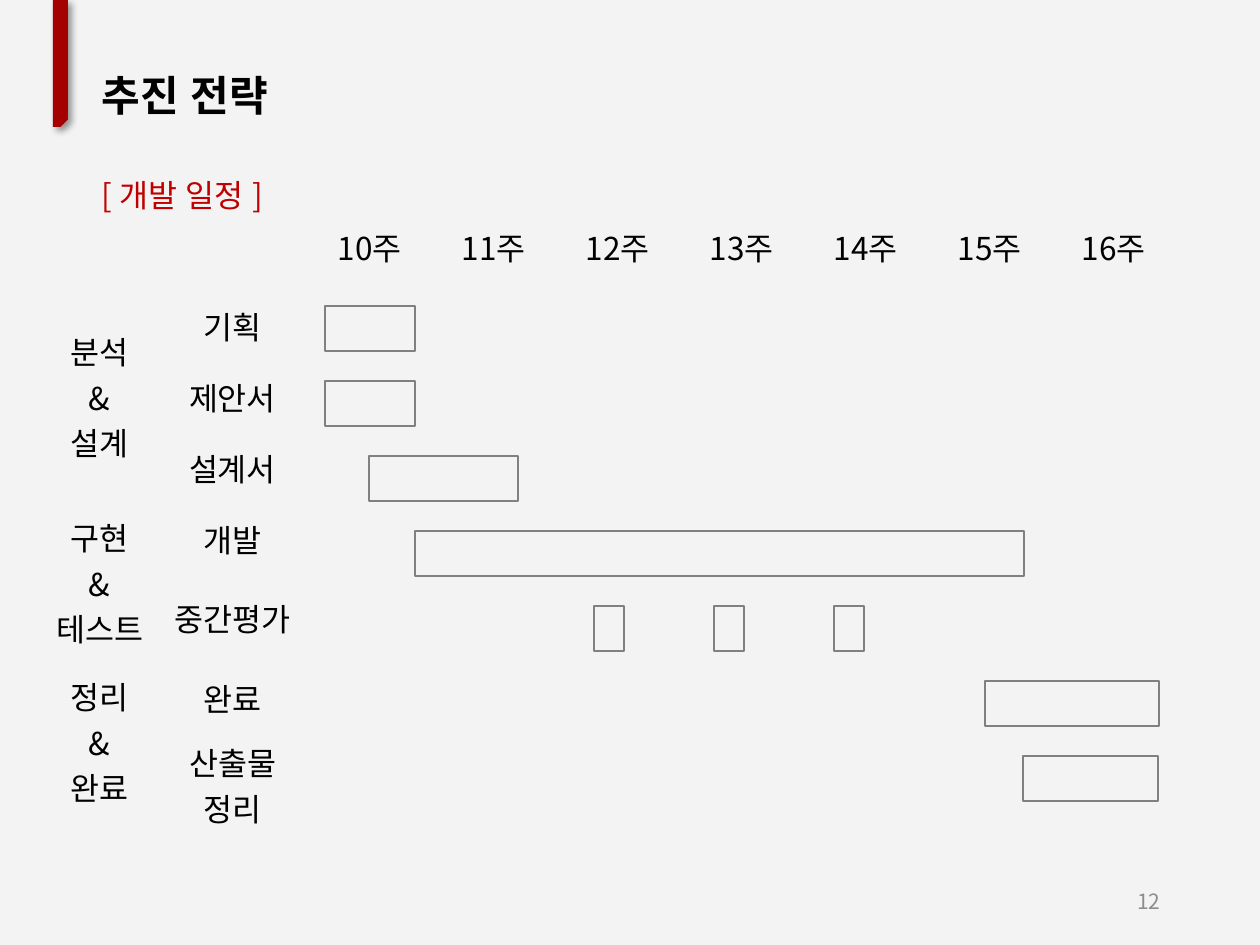
from lxml.etree import SubElement as Sub
from pptx import Presentation
from pptx.dml.color import RGBColor as Rgb
from pptx.enum.lang import MSO_LANGUAGE_ID as Lang
from pptx.enum.shapes import MSO_SHAPE as Shape
from pptx.enum.text import MSO_ANCHOR as Anchor, PP_ALIGN as Align
from pptx.oxml.ns import qn
from pptx.util import Emu, Pt

FONT = "Noto Sans CJK KR"
PLAIN = "{2D5ABB26-0587-4C30-8999-92F81FD0307C}"  # table without style or grid
HUE = {"back": "F3F3F3", "text": "000000", "head": "C00000",
       "tag": "A40000", "line": "808080", "page": "8C8C8C"}

WEEKS = [f"{n}주" for n in range(10, 17)]
STAGES = [("분석\n&\n설계", ["기획", "제안서", "설계서"]),
          ("구현\n&\n테스트", ["개발", "중간평가"]),
          ("정리\n&\n완료", ["완료", "산출물 정리"])]
COLS = [115, 151] + [124] * len(WEEKS)
ROWS = [86, 71, 71, 71, 71, 88, 71, 84]
# Bars of each task: left edge from the chart's left, and width
BARS = [[(0, 90)], [(0, 90)], [(44, 149)], [(90, 609)],
        [(269, 30), (389, 30), (509, 30)], [(660, 174)], [(698, 135)]]


def px(n):
    return Emu(round(n * 914400 / 126))


def box(*nums):
    return [px(n) for n in nums]


def style(frame, size, hue, align=Align.LEFT, bold=False, space=None):
    for para in frame.paragraphs:
        para.alignment = align
        if space:
            para.line_spacing = space
        for run in para.runs:
            font = run.font
            font.size, font.bold, font.name = Pt(size), bold, FONT
            font.color.rgb = Rgb.from_string(HUE[hue])
            font.language_id = Lang.KOREAN
            Sub(run._r.get_or_add_rPr(), qn("a:ea"), typeface=FONT)


def add_text(slide, text, area, size, hue, **look):
    frame = slide.shapes.add_textbox(*box(*area)).text_frame
    frame.text, frame.word_wrap = text, True
    style(frame, size, hue, **look)
    return frame


def add_title(slide, text, x, y, w, h):
    title = slide.shapes.title
    title.left, title.top, title.width, title.height = box(x, y, w, h)
    frame = title.text_frame
    frame.text, frame.word_wrap = text, False
    frame.vertical_anchor = Anchor.MIDDLE
    style(frame, 24, "text", bold=True)


def add_tag(slide, x, y, w, h):
    tag = slide.shapes.add_shape(Shape.SNIP_1_RECTANGLE, *box(x, y, w, h))
    tag.adjustments[0] = 0.5
    tag.rotation = 180
    tag.element.spPr.find(qn("a:xfrm")).set("flipH", "1")
    tag.fill.solid()
    tag.fill.fore_color.rgb = Rgb.from_string(HUE["tag"])
    tag.line.fill.background()
    # Soft shadow towards the lower right
    tag.shadow.inherit = False
    glow = Sub(tag.element.spPr.find(qn("a:effectLst")), qn("a:outerShdw"),
               blurRad=str(Pt(4)), dist=str(Pt(3)), dir="2700000",
               algn="tl", rotWithShape="0")
    tint = Sub(glow, qn("a:srgbClr"), val="000000")
    Sub(tint, qn("a:alpha"), val="40000")


def add_plan(slide, x, y):
    area = box(x, y, sum(COLS), sum(ROWS))
    item = slide.shapes.add_table(len(ROWS), len(COLS), *area)
    item.element.find(".//" + qn("a:tableStyleId")).text = PLAIN
    table = item.table
    table.first_row = table.horz_banding = False
    for col, wide in zip(table.columns, COLS):
        col.width = px(wide)
    for row, high in zip(table.rows, ROWS):
        row.height = px(high)

    # Wording: weeks across, stages and tasks down
    for i, week in enumerate(WEEKS, 2):
        table.cell(0, i).text = week
    top = 1
    for stage, tasks in STAGES:
        table.cell(top, 0).merge(table.cell(top + len(tasks) - 1, 0))
        table.cell(top, 0).text = stage
        for i, task in enumerate(tasks, top):
            table.cell(i, 1).text = task
        top += len(tasks)

    for cell in table.iter_cells():
        cell.fill.background()
        cell.vertical_anchor = Anchor.MIDDLE
        style(cell.text_frame, 18, "text", Align.CENTER)


def add_bars(slide, x, y, step, high):
    for i, row in enumerate(BARS):
        # Repeated reviews move as one group
        home = slide.shapes
        if len(row) > 1:
            home = home.add_group_shape().shapes
        for left, wide in row:
            area = box(x + left, y + i * step, wide, high)
            bar = home.add_shape(Shape.RECTANGLE, *area)
            bar.shadow.inherit = False
            bar.fill.background()
            bar.line.color.rgb = Rgb.from_string(HUE["line"])
            bar.line.width = Pt(1.5)


def main():
    deck = Presentation()
    deck.slide_width, deck.slide_height = box(1260, 945)
    slide = deck.slides.add_slide(deck.slide_layouts[5])
    back = slide.background.fill
    back.solid()
    back.fore_color.rgb = Rgb.from_string(HUE["back"])

    add_title(slide, "추진 전략", 89, 63, 194, 63)
    add_text(slide, "[ 개발 일정 ]", (89, 175, 200, 50), 18, "head", space=0.86)
    add_plan(slide, 42, 204)
    add_bars(slide, 325, 306, 75, 45)
    add_tag(slide, 53, 0, 15, 127)
    page = add_text(slide, "12", (890, 876, 283, 50), 12, "page", align=Align.RIGHT)
    page.vertical_anchor = Anchor.MIDDLE
    deck.save("out.pptx")


if __name__ == "__main__":
    main()
